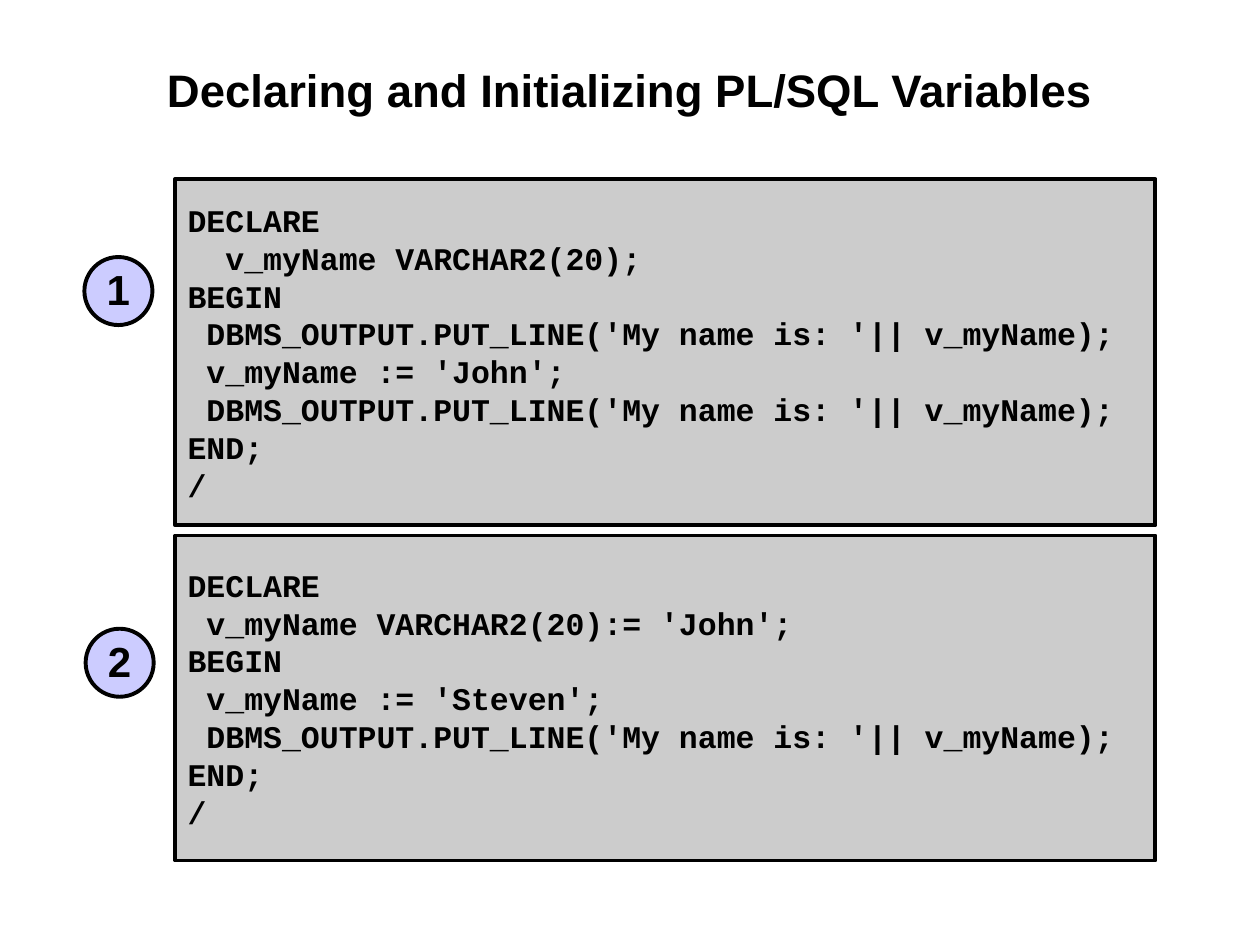
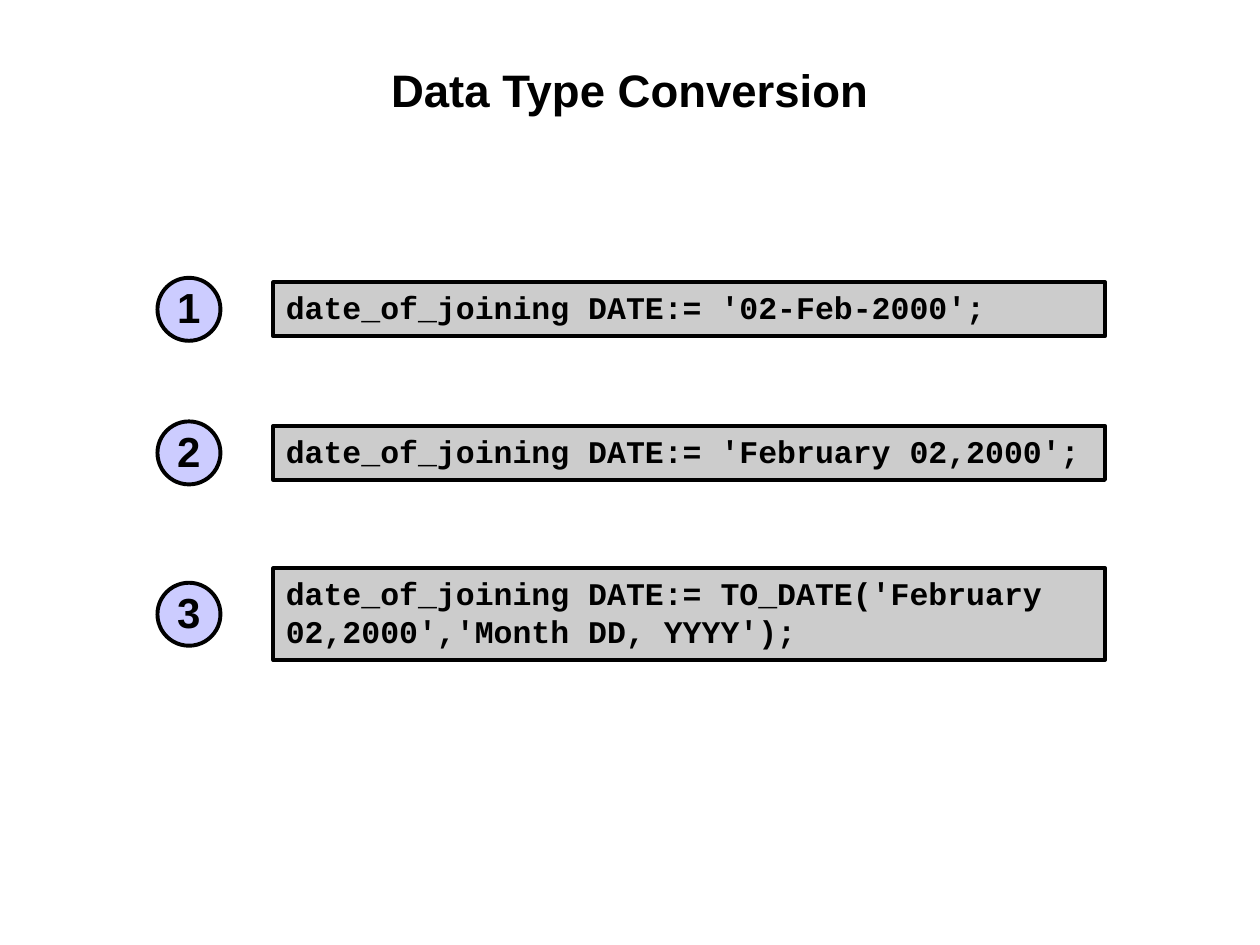
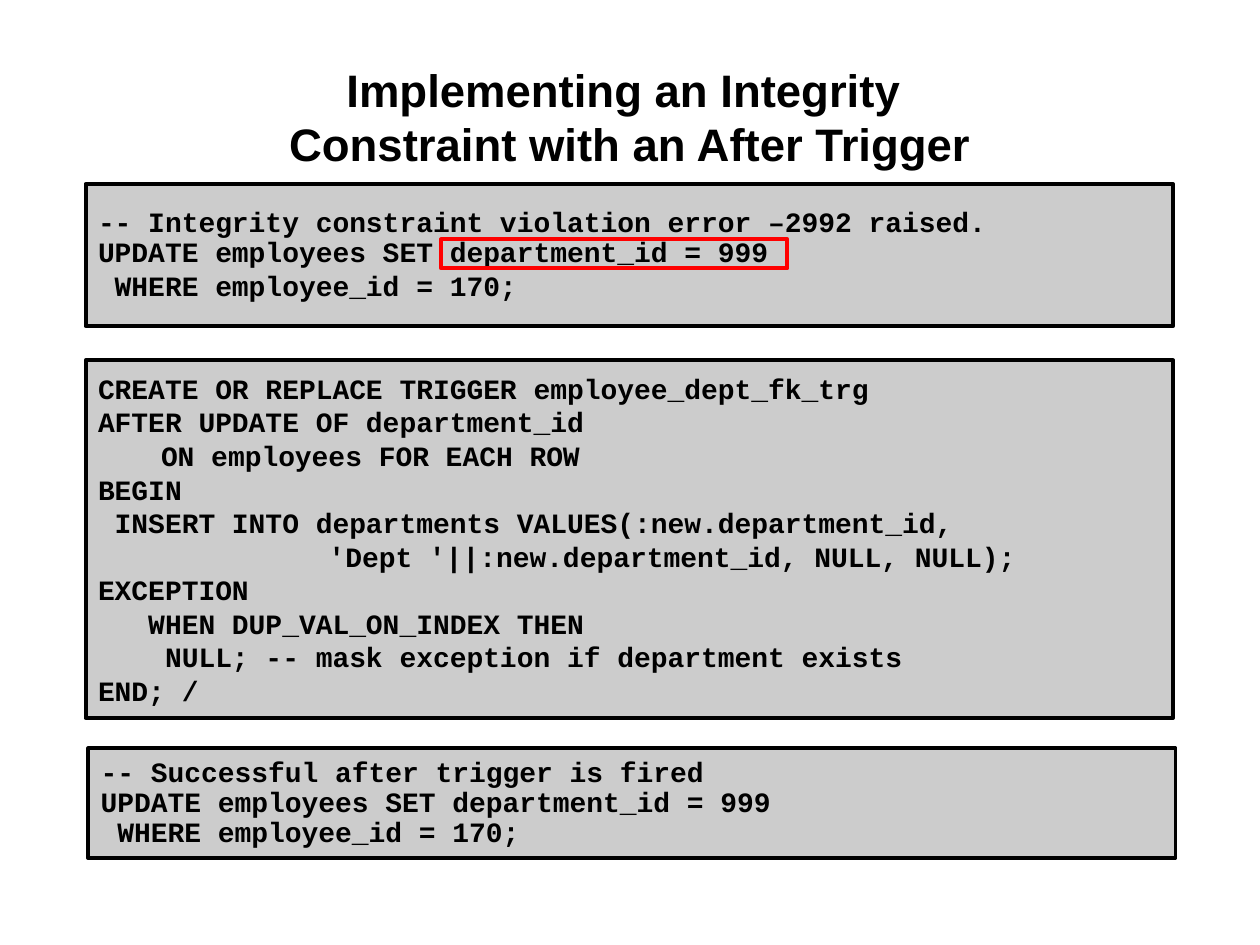
from pptx import Presentation
from pptx.dml.color import RGBColor
from pptx.enum.shapes import MSO_SHAPE
from pptx.enum.text import MSO_ANCHOR, MSO_AUTO_SIZE, PP_ALIGN
from pptx.util import Inches, Pt

COLORS = {"ink": "000000", "code": "CCCCCC", "badge": "CCCCFF", "highlight": "FF0000"}
TITLE_ONLY = 5

deck = Presentation()
deck.slide_width, deck.slide_height = Inches(10), Inches(7.5)
COLUMN = deck.slide_width / 20
ROW = deck.slide_height / 15


def write(shape, text, font="Arial", size=18, align=PP_ALIGN.LEFT, anchor=MSO_ANCHOR.MIDDLE,
          insets=(0.1, 0.01), hanging=0, spacing=1.0, wrap=True):
    frame = shape.text_frame
    frame.auto_size = MSO_AUTO_SIZE.NONE
    frame.word_wrap = wrap
    frame.vertical_anchor = anchor
    frame.margin_left = frame.margin_right = Inches(insets[0])
    frame.margin_top = frame.margin_bottom = Inches(insets[1])
    for index, paragraph_text in enumerate(text.split("\n")):
        para = frame.paragraphs[0] if index == 0 else frame.add_paragraph()
        para.alignment = align
        para.line_spacing = spacing
        if hanging:
            properties = para._p.get_or_add_pPr()
            properties.set("marL", str(Inches(hanging)))
            properties.set("indent", str(-Inches(hanging)))
        for part, line in enumerate(paragraph_text.split("\v")):
            if part:
                para.add_line_break()
            span = para.add_run()
            span.text = line
            span.font.name = font
            span.font.size = Pt(size)
            span.font.bold = True
            span.font.color.rgb = RGBColor.from_string(COLORS["ink"])


def add_box(page, kind, left, top, width, height, fill=None, line="ink"):
    box = page.shapes.add_shape(kind, round(left * COLUMN), round(top * ROW),
                                round(width * COLUMN), round(height * ROW))
    box.shadow.inherit = False
    if fill:
        box.fill.solid()
        box.fill.fore_color.rgb = RGBColor.from_string(COLORS[fill])
    else:
        box.fill.background()
    box.line.color.rgb = RGBColor.from_string(COLORS[line])
    box.line.width = Pt(2.25)
    return box


BLOCK = {"font": "Courier New", "size": 18}
LINE = {**BLOCK, "anchor": MSO_ANCHOR.TOP, "insets": (0.1, 0.05)}
TRIGGER = {**BLOCK, "size": 16, "hanging": 0.5}
UPDATE = {**TRIGGER, "spacing": 0.9}

uninitialized = """DECLARE
  v_myName VARCHAR2(20);
BEGIN\v DBMS_OUTPUT.PUT_LINE('My name is: '|| v_myName);
 v_myName := 'John';
 DBMS_OUTPUT.PUT_LINE('My name is: '|| v_myName);
END;
/"""

initialized = """DECLARE
 v_myName VARCHAR2(20):= 'John';
BEGIN
 v_myName := 'Steven';
 DBMS_OUTPUT.PUT_LINE('My name is: '|| v_myName);
END;
/"""

statement = """UPDATE employees SET department_id = 999
 WHERE employee_id = 170;"""

trigger = """CREATE OR REPLACE TRIGGER employee_dept_fk_trg
AFTER UPDATE OF department_id\vON employees FOR EACH ROW
BEGIN
 INSERT INTO departments VALUES(:new.department_id,\v          'Dept '||:new.department_id, NULL, NULL);
EXCEPTION
   WHEN DUP_VAL_ON_INDEX THEN
    NULL; -- mask exception if department exists
END; /"""

conversions = [
    (4.48, 0.86, "date_of_joining DATE:= '02-Feb-2000';"),
    (6.76, 0.86, "date_of_joining DATE:= 'February 02,2000';"),
    (9.02, 1.46, "date_of_joining DATE:= TO_DATE('February 02,2000','Month DD, YYYY');"),
]

slides = [
    {"title": "Declaring and Initializing PL/SQL Variables",
     "code": [(2.78, 2.84, 15.56, 5.5, uninitialized, BLOCK),
              (2.78, 8.5, 15.56, 5.16, initialized, BLOCK)],
     "badges": [(1.34, 4.08, 1.08), (1.36, 9.98, 1.08)]},
    {"title": "Data Type Conversion",
     "code": [(4.34, top, 13.2, height, text, LINE) for top, height, text in conversions],
     "badges": [(2.5, top + (height - 1) / 2, 1) for top, height, text in conversions]},
    {"title": "Implementing an Integrity \vConstraint with an After Trigger",
     "code": [(1.36, 2.92, 17.26, 2.26,
               "-- Integrity constraint violation error –2992 raised.\n" + statement, UPDATE),
              (1.36, 5.72, 17.26, 5.68, trigger, TRIGGER),
              (1.4, 11.88, 17.26, 1.74,
               "-- Successful after trigger is fired\n" + statement, UPDATE)],
     "badges": []},
]

for content in slides:
    page = deck.slides.add_slide(deck.slide_layouts[TITLE_ONLY])
    title = page.shapes.title
    title.left, title.top = round(1.34 * COLUMN), round(0.96 * ROW)
    title.width, title.height = round(17.32 * COLUMN), round(1.92 * ROW)
    write(title, content["title"], size=26, align=PP_ALIGN.CENTER,
          anchor=MSO_ANCHOR.TOP, insets=(0.01, 0.01))
    for left, top, width, height, text, style in content["code"]:
        code_box = add_box(page, MSO_SHAPE.RECTANGLE, left, top, width, height, fill="code")
        write(code_box, text, **style)
    for number, (left, top, size) in enumerate(content["badges"], start=1):
        badge = add_box(page, MSO_SHAPE.OVAL, left, top, size, size, fill="badge")
        write(badge, str(number), size=24, align=PP_ALIGN.CENTER,
              insets=(0.05, 0.05), spacing=0.95, wrap=False)

violation_box = page.shapes[1]
violation_box.text_frame.paragraphs[-1].space_before = Pt(2)
add_box(page, MSO_SHAPE.RECTANGLE, 7, 3.8, 5.5, 0.46, line="highlight")

deck.save("out.pptx")
